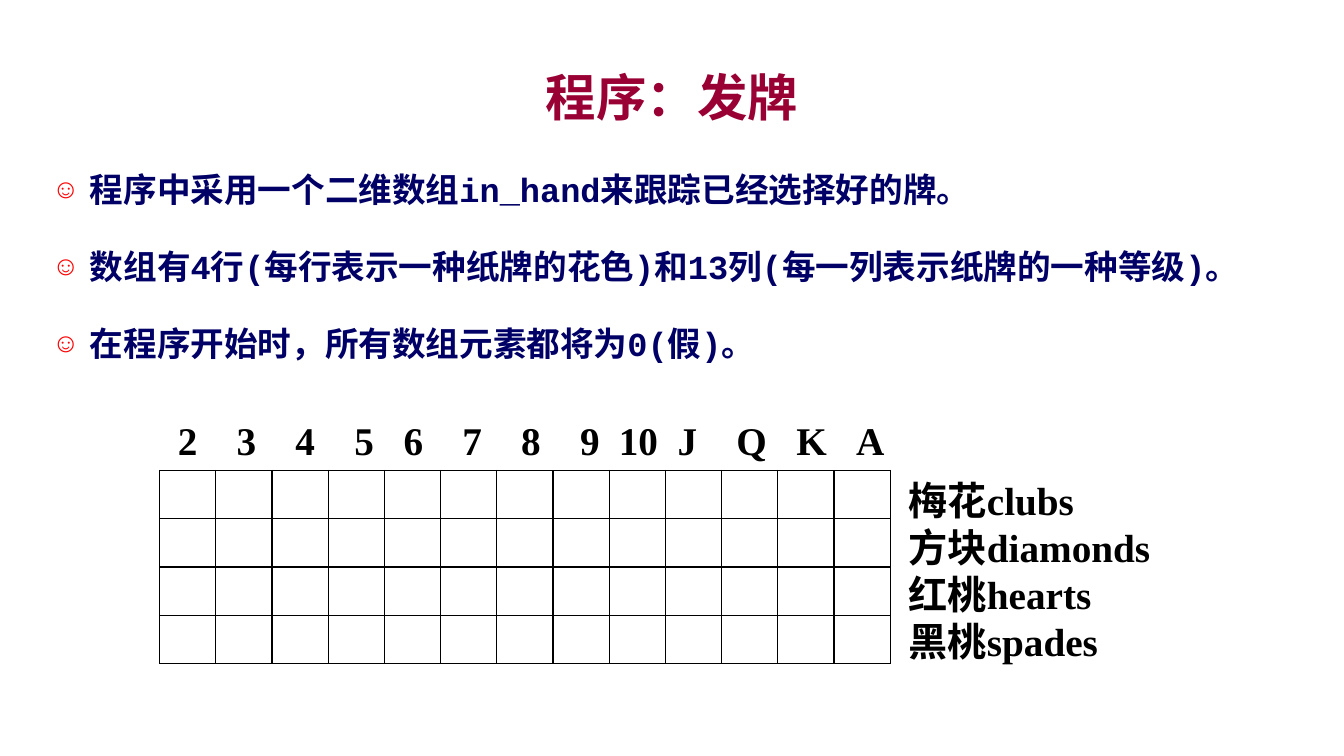
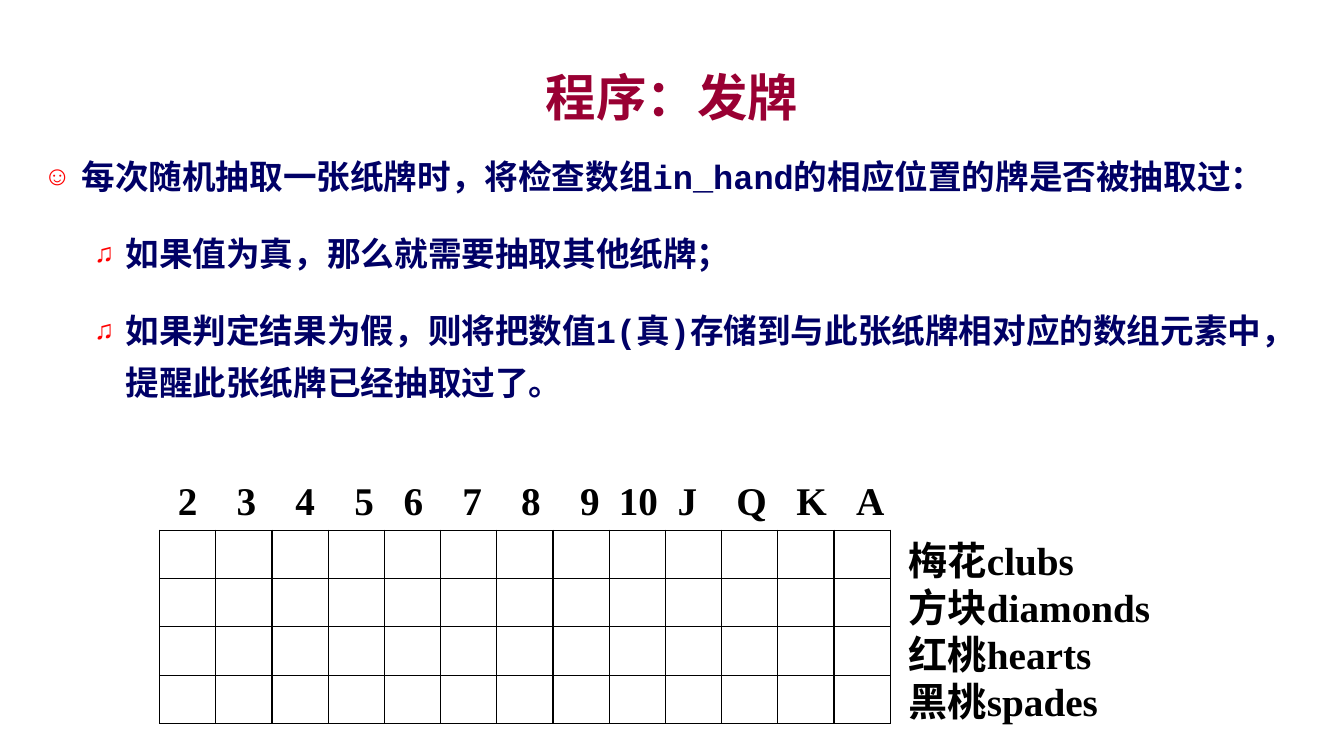
from lxml import etree
from pptx import Presentation
from pptx.dml.color import RGBColor
from pptx.enum.text import MSO_ANCHOR, MSO_AUTO_SIZE, PP_ALIGN
from pptx.oxml.ns import qn
from pptx.util import Pt

PX = 9525
CENTER, MIDDLE, TOP = PP_ALIGN.CENTER, MSO_ANCHOR.MIDDLE, MSO_ANCHOR.TOP
NO_FIT = MSO_AUTO_SIZE.NONE

CJK = "Noto Sans CJK SC"
TITLE = {"name": CJK, "size": Pt(36), "bold": True}
BODY = {"name": "Courier New", "size": Pt(24), "bold": True}
LABEL = {"name": "Times New Roman", "size": Pt(28), "bold": True}
MAROON, NAVY, BLACK, WHITE, RED = "990033", "000066", "000000", "FFFFFF", "FF0000"

# Bullet, left margin and hanging indent of each list level
LEVELS = [("☺", 36, 36), ("♫", 78, 30)]
SPACING = {"line_spacing": Pt(37), "space_before": Pt(12), "space_after": Pt(6)}

RANKS = ["2", "3", "4", "5", "6", "7", "8", "9", "10", "J", "Q", "K", "A"]
RANK_STOPS = [56, 112, 168, 215, 271, 327, 383, 420, 476, 532, 589, 646]
SUITS = ["梅花clubs", "方块diamonds", "红桃hearts", "黑桃spades"]
TABLE_LEFT, TABLE_WIDTH, ROW_HEIGHT = 152, 696, 46

# Body frame, list items with their level, top of the card table
SLIDES = [
    ((40, 145, 1176, 224), [
        (0, "程序中采用一个二维数组in_hand来跟踪已经选择好的牌。"),
        (0, "数组有4行(每行表示一种纸牌的花色)和13列(每一列表示纸牌的一种等级)。"),
        (0, "在程序开始时，所有数组元素都将为0(假)。"),
    ], 448),
    ((32, 133, 1200, 303), [
        (0, "每次随机抽取一张纸牌时，将检查数组in_hand的相应位置的牌是否被抽取过："),
        (1, "如果值为真，那么就需要抽取其他纸牌；"),
        (1, "如果判定结果为假，则将把数值1(真)存储到与此张纸牌相对应的数组元素中，提醒此张纸牌已经抽取过了。"),
    ], 505),
]


def add_xml(parent, tag, **attrs):
    return etree.SubElement(parent, qn(tag), {k: str(v) for k, v in attrs.items()})


def write(tf, lines, style, color):
    """Write one formatted paragraph per line and return the paragraphs."""
    for i, line in enumerate(lines):
        p = tf.paragraphs[0] if i == 0 else tf.add_paragraph()
        r = p.add_run()
        r.text = line
        for key, value in style.items():
            setattr(r.font, key, value)
        r.font.color.rgb = RGBColor.from_string(color)
        add_xml(r.font._element, "a:ea", typeface=CJK)
    return tf.paragraphs


prs = Presentation()
prs.slide_width, prs.slide_height = 1280 * PX, 720 * PX

for body_frame, items, table_top in SLIDES:
    s = prs.slides.add_slide(prs.slide_layouts[1])
    title, body = s.shapes.title, s.placeholders[1]
    for sp, frame, anchor in ((title, (96, 56, 1088, 72), MIDDLE),
                              (body, body_frame, TOP)):
        sp.left, sp.top, sp.width, sp.height = [v * PX for v in frame]
        sp.text_frame.auto_size = NO_FIT
        sp.text_frame.vertical_anchor = anchor

    write(title.text_frame, ["程序：发牌"], TITLE, MAROON)[0].alignment = CENTER

    paragraphs = write(body.text_frame, [text for _, text in items], BODY, NAVY)
    for p, (level, _) in zip(paragraphs, items):
        p.level = level
        for key, value in SPACING.items():
            setattr(p, key, value)
        bullet, margin, hanging = LEVELS[level]
        pPr = p._p.get_or_add_pPr()
        pPr.set("marL", str(margin * PX))
        pPr.set("indent", str(-hanging * PX))
        add_xml(add_xml(pPr, "a:buClr"), "a:srgbClr", val=RED)
        add_xml(pPr, "a:buSzPct", val=80000)
        add_xml(pPr, "a:buChar", char=bullet)

    table = s.shapes.add_table(len(SUITS), len(RANKS), TABLE_LEFT * PX, table_top * PX,
                               TABLE_WIDTH * PX, len(SUITS) * ROW_HEIGHT * PX).table
    table.first_row = table.horz_banding = False
    for column in table.columns:
        column.width = TABLE_WIDTH * PX // len(RANKS)
    for cell in table.iter_cells():
        tcPr = cell._tc.get_or_add_tcPr()
        for side in ("a:lnL", "a:lnR", "a:lnT", "a:lnB"):
            line = add_xml(tcPr, side, w=Pt(1))
            add_xml(add_xml(line, "a:solidFill"), "a:srgbClr", val=BLACK)
        cell.fill.solid()
        cell.fill.fore_color.rgb = RGBColor.from_string(WHITE)

    for frame, lines in (((160, table_top - 56, 728, 55), ["\t".join(RANKS)]),
                         ((856, table_top + 1, 296, 191), SUITS)):
        tf = s.shapes.add_textbox(*[v * PX for v in frame]).text_frame
        tf.word_wrap = True
        paragraphs = write(tf, lines, LABEL, BLACK)
        if lines is not SUITS:
            tabs = add_xml(paragraphs[0]._p.get_or_add_pPr(), "a:tabLst")
            for stop in RANK_STOPS:
                add_xml(tabs, "a:tab", pos=stop * PX, algn="l")

prs.save("out.pptx")
